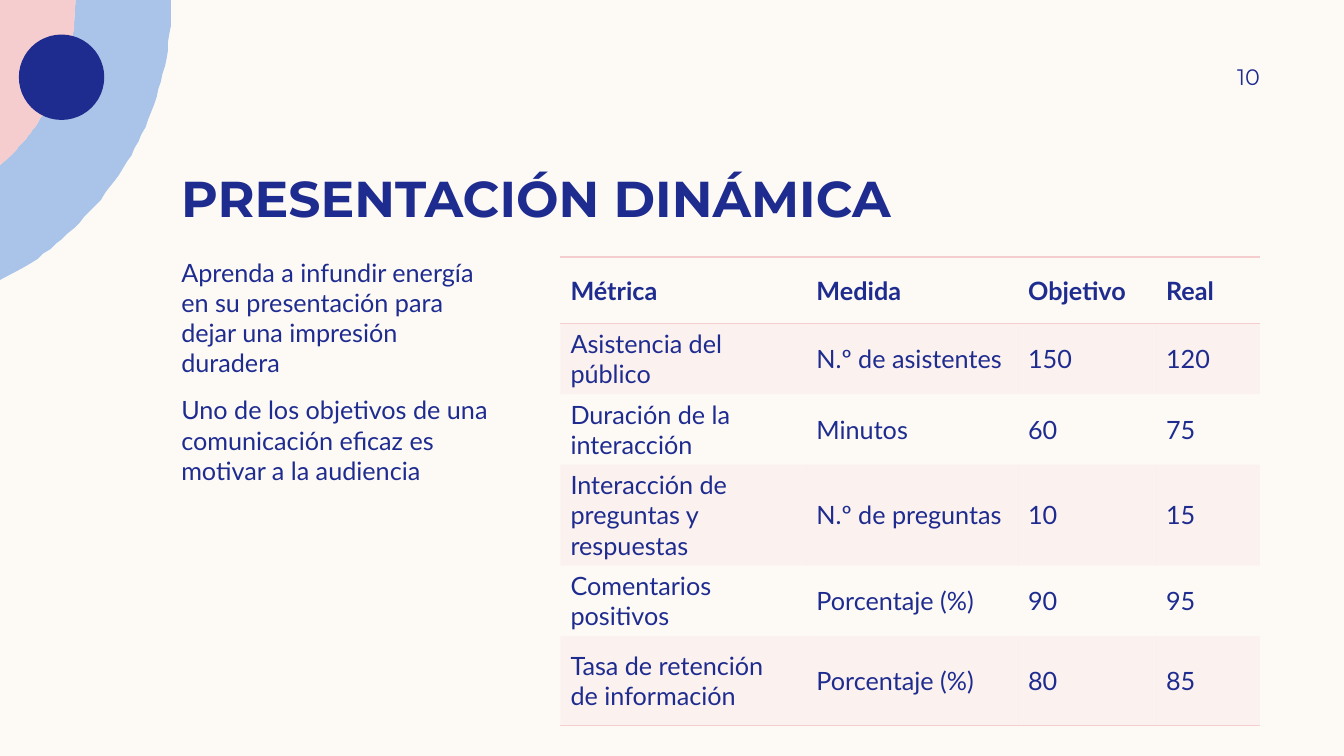
import pptx
import pptx.util
import pptx.dml.color
import pptx.enum.shapes
import pptx.enum.text
import pptx.oxml
import pptx.oxml.ns
from lxml import etree

Pt = pptx.util.Pt
qn = pptx.oxml.ns.qn
RGB = pptx.dml.color.RGBColor
ANCHOR = pptx.enum.text.MSO_ANCHOR
ALIGN = pptx.enum.text.PP_ALIGN

CREAM = RGB(0xFD, 0xFA, 0xF6)
BLUE = RGB(0xAA, 0xC3, 0xE8)
PINK = RGB(0xF5, 0xCD, 0xCE)
NAVY = RGB(0x1F, 0x2C, 0x8F)
NO_STYLE = "{2D5ABB26-0587-4C30-8999-92F81FD0307C}"

TITLE = "PRESENTACIÓN DINÁMICA"
BODY = [
    "Aprenda a infundir energía en su presentación para dejar una impresión duradera",
    "Uno de los objetivos de una comunicación eficaz es motivar a la audiencia",
]
PAGE = "10"
ROWS = [
    ("Métrica", "Medida", "Objetivo", "Real"),
    ("Asistencia del público", "N.º de asistentes", "150", "120"),
    ("Duración de la interacción", "Minutos", "60", "75"),
    ("Interacción de preguntas y respuestas", "N.º de preguntas", "10", "15"),
    ("Comentarios positivos", "Porcentaje (%)", "90", "95"),
    ("Tasa de retención de información", "Porcentaje (%)", "80", "85"),
]
COL_WIDTHS = [175.7, 151.2, 98.6, 74.2]
ROW_HEIGHTS = [47.5, 47.5, 50.4, 47.5, 47.5, 64.1]

# Outlines in points: a pair is a corner, three pairs are a Bézier curve
INNER_EDGE = [(54, 0), (53.3, 15.8), ((49, 52.6), (33.1, 85.7), (7.9, 110.9)), (0, 118.1)]
OUTER_EDGE = [(122.4, 0), (122.4, 0.7),
              ((122.4, 80.6), (80.6, 150.5), (17.3, 190.8)), (0, 200.2)]


def flatten(edge, steps=40):
    """Turn the curves of an edge into short straight pieces."""
    points = []
    for part in edge:
        if not isinstance(part[0], tuple):
            points.append(part)
            continue
        a, (b, c, d) = points[-1], part
        for i in range(1, steps + 1):
            t = i / steps
            u = 1 - t
            points.append(tuple(
                u**3 * a[k] + 3 * u * u * t * b[k] + 3 * u * t * t * c[k] + t**3 * d[k]
                for k in (0, 1)))
    return points


def paint(sp, color):
    sp.shadow.inherit = False
    sp.fill.solid()
    sp.fill.fore_color.rgb = color
    sp.line.fill.background()


def add_outline(s, points, color):
    fb = s.shapes.build_freeform(*points[0], scale=Pt(1))
    fb.add_line_segments(points[1:], close=True)
    paint(fb.convert_to_shape(), color)


def style(p, font, size, bold=False):
    for r in p.runs:
        r.font.name, r.font.size, r.font.bold = font, Pt(size), bold
        r.font.color.rgb = NAVY


def add_text(s, box, lines, font, size, bold=False, anchor=ANCHOR.TOP,
             align=ALIGN.LEFT, after=0, insets=(7.2, 0, 7.2, 0)):
    tf = s.shapes.add_textbox(*map(Pt, box)).text_frame
    tf.word_wrap = True
    tf.vertical_anchor = anchor
    tf.margin_left, tf.margin_top, tf.margin_right, tf.margin_bottom = map(Pt, insets)
    tf.text = "\n".join(lines)
    for p in tf.paragraphs:
        p.alignment, p.space_after = align, Pt(after)
        style(p, font, size, bold)


def fill_cell(cell, banded, sides):
    """Tint a banded cell and rule the given sides ("T", "B")."""
    tcPr = cell._tc.get_or_add_tcPr()
    if banded:
        cell.fill.solid()
        cell.fill.fore_color.rgb = PINK
        etree.SubElement(next(tcPr.iter(qn("a:srgbClr"))), qn("a:alpha"), val="20000")
    else:
        cell.fill.background()
    for i, side in enumerate(sides):
        ln = etree.Element(qn(f"a:ln{side}"), w=str(Pt(1)))
        solid = etree.SubElement(ln, qn("a:solidFill"))
        etree.SubElement(solid, qn("a:srgbClr"), val=str(PINK))
        tcPr.insert(i, ln)


def add_metrics(s, left, top):
    frame = s.shapes.add_table(len(ROWS), len(COL_WIDTHS), Pt(left), Pt(top),
                               Pt(sum(COL_WIDTHS)), Pt(sum(ROW_HEIGHTS)))
    table = frame.table
    table.horz_banding = False
    next(frame.element.iter(qn("a:tableStyleId"))).text = NO_STYLE
    for col, width in zip(table.columns, COL_WIDTHS):
        col.width = Pt(width)
    for i, (row, height) in enumerate(zip(table.rows, ROW_HEIGHTS)):
        row.height = Pt(height)
        sides = "TB" if i == 0 else "B" if i == len(ROWS) - 1 else ""
        for cell, text in zip(row.cells, ROWS[i]):
            cell.text_frame.text = text
            cell.vertical_anchor = ANCHOR.MIDDLE
            style(cell.text_frame.paragraphs[0], "Lato", 18, i == 0)
            fill_cell(cell, i % 2 == 1, sides)


def main():
    prs = pptx.Presentation()
    prs.slide_width, prs.slide_height = Pt(960), Pt(540)
    s = prs.slides.add_slide(prs.slide_layouts[6])
    s.background.fill.solid()
    s.background.fill.fore_color.rgb = CREAM

    inner, outer = flatten(INNER_EDGE), flatten(OUTER_EDGE)
    add_outline(s, outer + inner[::-1], BLUE)
    add_outline(s, [(0, 0)] + inner, PINK)
    dot = s.shapes.add_shape(pptx.enum.shapes.MSO_SHAPE.OVAL,
                             Pt(13.5), Pt(24.7), Pt(61), Pt(61))
    paint(dot, NAVY)

    add_text(s, (122.4, 85.7, 777.6, 77), [TITLE], "Montserrat", 36, True, ANCHOR.BOTTOM)
    add_text(s, (122.4, 183.6, 234, 291.6), BODY, "Lato", 18, after=12)
    add_metrics(s, 400.3, 183.6)
    add_text(s, (815.8, 36, 84.2, 37.4), [PAGE], "Montserrat", 16, anchor=ANCHOR.MIDDLE,
             align=ALIGN.RIGHT, insets=(7.2, 3.6, 0, 3.6))
    prs.save("out.pptx")


if __name__ == "__main__":
    main()
